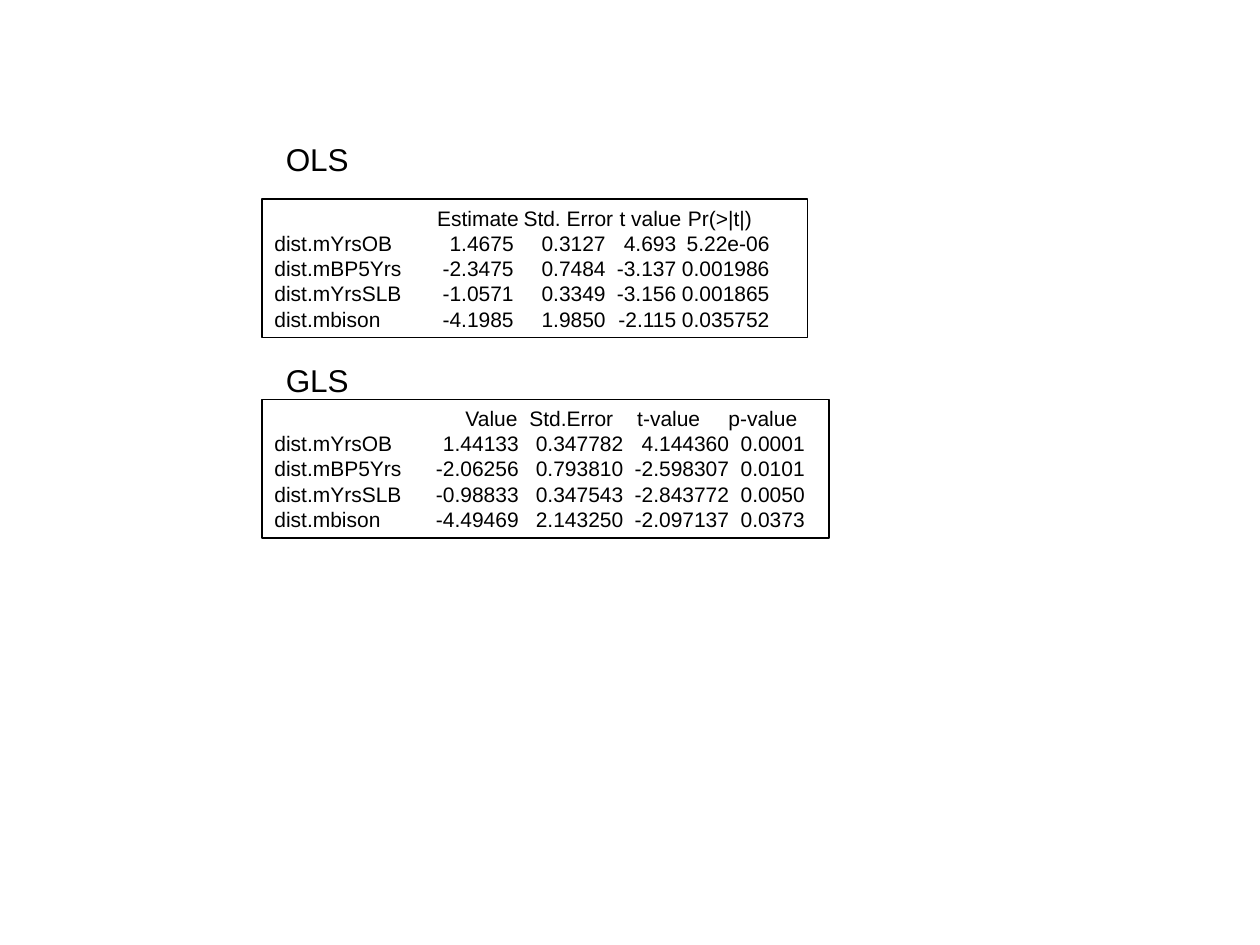
import pptx
import pptx.dml.color
import pptx.enum.shapes
import pptx.enum.text
import pptx.util
from lxml import etree
from pptx.oxml.ns import qn
from pptx.util import Inches

LEFT = 2.08
VARIABLES = ["dist.mYrsOB", "dist.mBP5Yrs", "dist.mYrsSLB", "dist.mbison"]

OLS_HEADER = ["Estimate", "Std. Error", "t value", "Pr(>|t|)"]
OLS_VALUES = [
    ["1.4675", "0.3127", "4.693", "5.22e-06"],
    ["-2.3475", "0.7484", "-3.137", "0.001986"],
    ["-1.0571", "0.3349", "-3.156", "0.001865"],
    ["-4.1985", "1.9850", "-2.115", "0.035752"],
]
GLS_HEADER = ["Value", "Std.Error", "t-value", "p-value"]
GLS_VALUES = [
    ["1.44133", "0.347782", "4.144360", "0.0001"],
    ["-2.06256", "0.793810", "-2.598307", "0.0101"],
    ["-0.98833", "0.347543", "-2.843772", "0.0050"],
    ["-4.49469", "2.143250", "-2.097137", "0.0373"],
]


def color(hex_code):
    return pptx.dml.color.RGBColor.from_string(hex_code)


def style_line(paragraph, size):
    paragraph.alignment = pptx.enum.text.PP_ALIGN.LEFT
    paragraph.font.name = "Arial"
    paragraph.font.size = pptx.util.Pt(size)
    paragraph.font.color.rgb = color("000000")


def set_right_tabs(paragraph, stops):
    properties = paragraph._p.get_or_add_pPr()
    tab_list = etree.SubElement(properties, qn("a:tabLst"))
    for stop in stops:
        etree.SubElement(tab_list, qn("a:tab"), pos=str(Inches(stop)), algn="r")


def add_heading(slide, text, top):
    heading = slide.shapes.add_textbox(Inches(2.17), Inches(top), Inches(0.7), Inches(0.4))
    heading.text_frame.word_wrap = False
    heading.text_frame.text = text
    style_line(heading.text_frame.paragraphs[0], 18)


def add_results(slide, top, width, header, values, header_stops, value_stops):
    """Outlined box of coefficients, with columns set by right-aligned tabs."""
    box = slide.shapes.add_shape(
        pptx.enum.shapes.MSO_SHAPE.RECTANGLE,
        Inches(LEFT), Inches(top), Inches(width), Inches(1.1))
    box.shadow.inherit = False
    box.fill.background()
    box.line.color.rgb = color("000000")
    box.line.width = pptx.util.Pt(0.75)

    frame = box.text_frame
    frame.word_wrap = True
    frame.vertical_anchor = pptx.enum.text.MSO_ANCHOR.TOP
    rows = [[""] + header] + [[name] + row for name, row in zip(VARIABLES, values)]
    frame.text = "\n".join("\t".join(row) for row in rows)
    for index, paragraph in enumerate(frame.paragraphs):
        style_line(paragraph, 12)
        set_right_tabs(paragraph, value_stops if index else header_stops)


def main():
    presentation = pptx.Presentation()
    presentation.slide_width = Inches(10)
    presentation.slide_height = Inches(7.5)
    slide = presentation.slides.add_slide(presentation.slide_layouts[6])

    # Ordinary least squares
    add_results(slide, 1.58, 4.33, OLS_HEADER, OLS_VALUES,
                [1.94, 2.69, 3.23, 3.79], [1.9, 2.63, 3.19, 3.93])
    add_heading(slide, "OLS", 1.06)

    # Generalized least squares
    add_results(slide, 3.17, 4.5, GLS_HEADER, GLS_VALUES,
                [1.93, 2.69, 3.38, 4.15], [1.94, 2.77, 3.61, 4.21])
    add_heading(slide, "GLS", 2.82)

    presentation.save("out.pptx")


if __name__ == "__main__":
    main()
